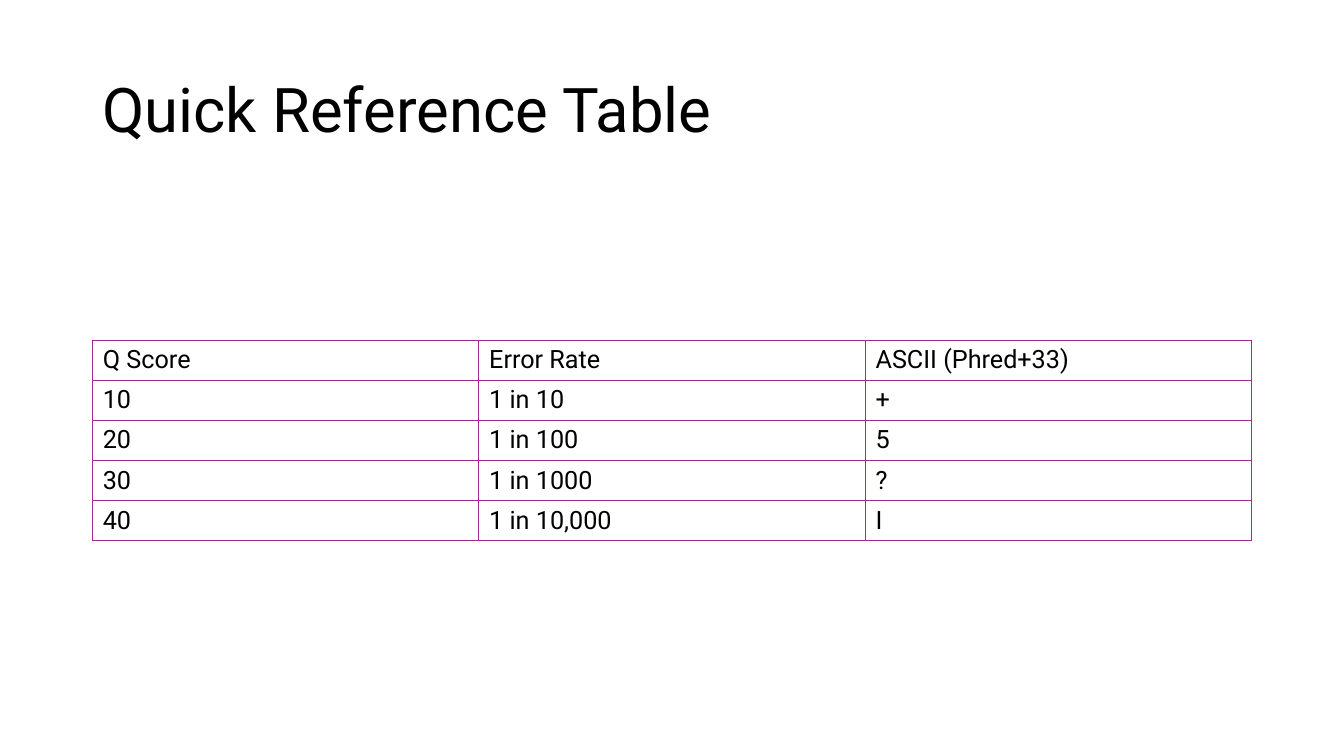
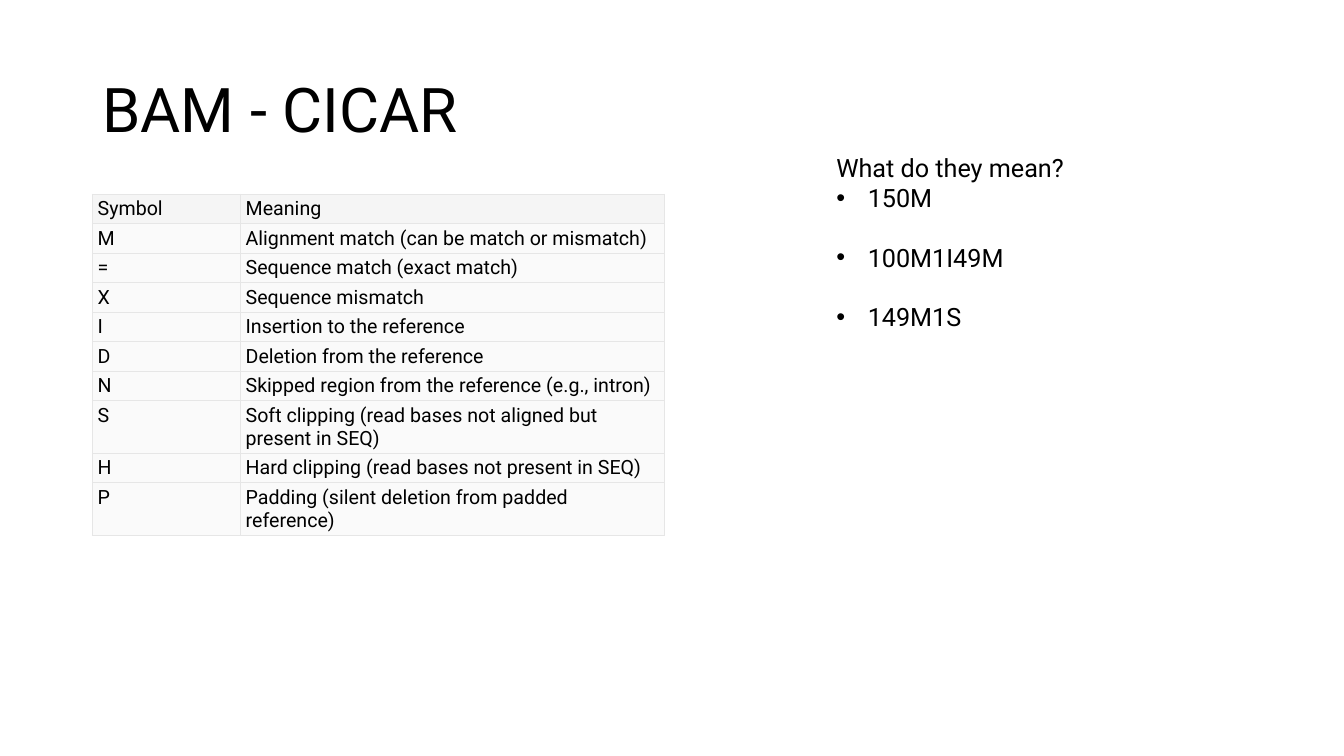
from lxml.etree import SubElement
from pptx import Presentation
from pptx.dml.color import RGBColor
from pptx.enum.text import MSO_ANCHOR as Anchor, MSO_AUTO_SIZE as AutoSize, PP_ALIGN as Align
from pptx.oxml.ns import qn
from pptx.util import Emu, Pt

EMU_PER_PX = 9525
FONT = "Roboto"
BLACK = RGBColor(0x00, 0x00, 0x00)
PURPLE = RGBColor(0xA0, 0x2B, 0x93)
RULE_GRAY = RGBColor(0xE6, 0xE6, 0xE6)
HEADER_GRAY = RGBColor(0xF5, 0xF5, 0xF5)
BODY_GRAY = RGBColor(0xFA, 0xFA, 0xFA)

LEFT = 88
CONTENT_WIDTH = 1104
BULLET_INDENT = 30

SCORES = [
    ("Q Score", "Error Rate", "ASCII (Phred+33)"),
    ("10", "1 in 10", "+"),
    ("20", "1 in 100", "5"),
    ("30", "1 in 1000", "?"),
    ("40", "1 in 10,000", "I"),
]
SYMBOLS = [
    ("Symbol", "Meaning"),
    ("M", "Alignment match (can be match or mismatch)"),
    ("=", "Sequence match (exact match)"),
    ("X", "Sequence mismatch"),
    ("I", "Insertion to the reference"),
    ("D", "Deletion from the reference"),
    ("N", "Skipped region from the reference (e.g., intron)"),
    ("S", "Soft clipping (read bases not aligned but present in SEQ)"),
    ("H", "Hard clipping (read bases not present in SEQ)"),
    ("P", "Padding (silent deletion from padded reference)"),
]
QUESTION = "What do they mean?"
EXAMPLES = ["150M", "100M1I49M", "149M1S"]


def px(length):
    return Emu(length * EMU_PER_PX)


def write(para, text, size=18, line_spacing=None, space_before=0):
    para.alignment = Align.LEFT
    para.line_spacing = line_spacing
    para.space_before = Pt(space_before)
    span = para.add_run()
    span.text = text
    span.font.name = FONT
    span.font.size = Pt(size)
    span.font.bold = False
    span.font.color.rgb = BLACK


def add_page(deck, title):
    page = deck.slides.add_slide(deck.slide_layouts[5])
    box = page.shapes.title
    box.left, box.top = px(LEFT), px(38)
    box.width, box.height = px(CONTENT_WIDTH), px(139)
    frame = box.text_frame
    frame.word_wrap = True
    frame.auto_size = AutoSize.NONE
    frame.vertical_anchor = Anchor.MIDDLE
    write(frame.paragraphs[0], title, size=44, line_spacing=0.9)
    return page


def set_borders(cell, color, width):
    properties = cell._tc.get_or_add_tcPr()
    for side in ("lnL", "lnR", "lnT", "lnB"):
        line = SubElement(properties, qn(f"a:{side}"), w=str(Pt(width)))
        fill = SubElement(line, qn("a:solidFill"))
        SubElement(fill, qn("a:srgbClr"), val=str(color))


def add_grid(page, rows, top, column_widths, row_height, size, border, border_width,
             fills=None, insets=(10, 5, 10, 5), anchor=Anchor.TOP):
    """Add a table; fills holds the header and body colours."""
    table = page.shapes.add_table(
        len(rows), len(column_widths), px(LEFT), px(top),
        px(sum(column_widths)), px(row_height * len(rows))).table
    table.first_row = table.horz_banding = False
    for column, width in zip(table.columns, column_widths):
        column.width = px(width)
    for row_index, texts in enumerate(rows):
        for column_index, text in enumerate(texts):
            cell = table.cell(row_index, column_index)
            set_borders(cell, border, border_width)
            if fills:
                cell.fill.solid()
                cell.fill.fore_color.rgb = fills[min(row_index, 1)]
            else:
                cell.fill.background()
            (cell.margin_left, cell.margin_top,
             cell.margin_right, cell.margin_bottom) = map(px, insets)
            cell.vertical_anchor = anchor
            write(cell.text_frame.paragraphs[0], text, size=size)


def add_bullet(para):
    properties = para._p.get_or_add_pPr()
    properties.set("marL", str(px(BULLET_INDENT)))
    properties.set("indent", str(px(-BULLET_INDENT)))
    SubElement(properties, qn("a:buFont"), typeface="Arial")
    SubElement(properties, qn("a:buChar"), char="•")


def add_bullet_list(page, heading, items, left, top, width, height):
    frame = page.shapes.add_textbox(px(left), px(top), px(width), px(height)).text_frame
    frame.word_wrap = True
    write(frame.paragraphs[0], heading)
    for index, item in enumerate(items):
        para = frame.add_paragraph()
        write(para, item, space_before=21 if index else 0)
        add_bullet(para)


def main():
    deck = Presentation()
    deck.slide_width, deck.slide_height = px(1280), px(720)

    page = add_page(deck, "Quick Reference Table")
    add_grid(page, SCORES, top=324, column_widths=[CONTENT_WIDTH // 3] * 3, row_height=37,
             size=18, border=PURPLE, border_width=1, anchor=Anchor.MIDDLE)

    page = add_page(deck, "BAM - CICAR")
    add_grid(page, SYMBOLS, top=185, column_widths=[141, 404], row_height=27,
             size=14, border=RULE_GRAY, border_width=0.75,
             fills=(HEADER_GRAY, BODY_GRAY), insets=(5, 3, 3, 3))
    add_bullet_list(page, QUESTION, EXAMPLES, left=787, top=140, width=369, height=213)

    deck.save("out.pptx")


if __name__ == "__main__":
    main()
